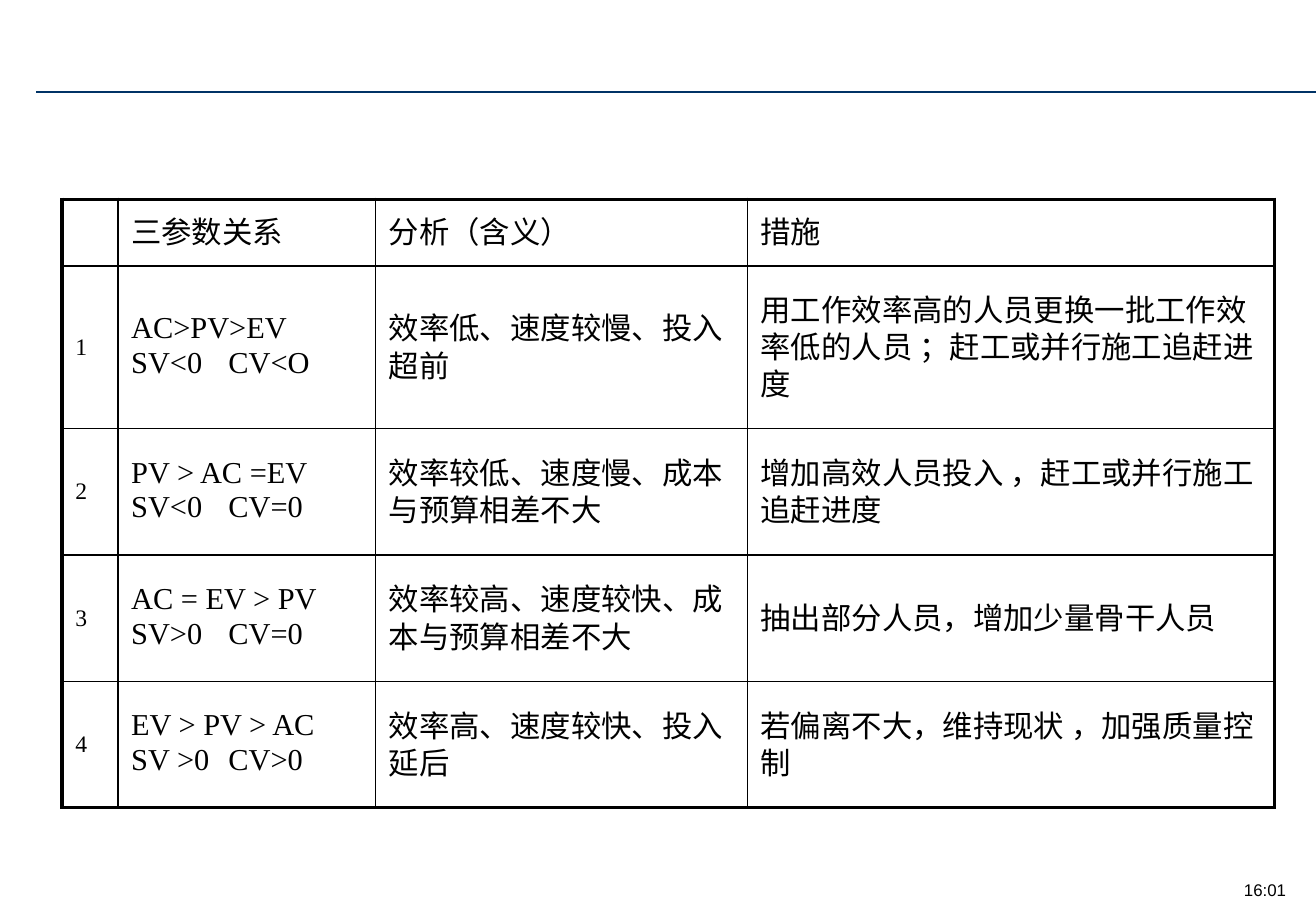
from dataclasses import dataclass

from lxml import etree
from pptx import Presentation
from pptx.dml.color import RGBColor
from pptx.enum.shapes import MSO_CONNECTOR
from pptx.enum.text import MSO_ANCHOR, PP_ALIGN
from pptx.oxml.ns import qn
from pptx.util import Inches, Pt

STRAIGHT = MSO_CONNECTOR.STRAIGHT
MIDDLE = MSO_ANCHOR.MIDDLE
CENTER = PP_ALIGN.CENTER


@dataclass(frozen=True)
class Theme:
    ink: str = "000000"
    paper: str = "FFFFFF"
    rule: str = "003366"
    table_font: str = "Times New Roman"
    clock_font: str = "Arial"
    text_size: float = 18
    number_size: float = 14
    clock_size: float = 10
    thin: float = 1
    thick: float = 2.25


class SlideBuilder:
    def __init__(self, prs, theme):
        self.theme = theme
        self.s = prs.slides.add_slide(prs.slide_layouts[6])

    def style(self, p, font, size):
        p.font.name = font
        p.font.size = Pt(size)
        p.font.color.rgb = RGBColor.from_string(self.theme.ink)

    def rule(self, left, right, y):
        line = self.s.shapes.add_connector(
            STRAIGHT, Inches(left), Inches(y), Inches(right), Inches(y))
        line.line.color.rgb = RGBColor.from_string(self.theme.rule)
        line.line.width = Pt(self.theme.thin)
        etree.SubElement(line._element.spPr, qn("a:effectLst"))

    def clock(self, text, left, top, width, height):
        sp = self.s.shapes.add_textbox(
            Inches(left), Inches(top), Inches(width), Inches(height))
        tf = sp.text_frame
        tf.word_wrap = True
        p = tf.paragraphs[0]
        p.text = text
        p.alignment = CENTER
        self.style(p, self.theme.clock_font, self.theme.clock_size)

    def border(self, cell, side, width):
        tc_pr = cell._tc.get_or_add_tcPr()
        ln = etree.SubElement(tc_pr, qn(f"a:ln{side}"), w=str(Pt(width)))
        fill = etree.SubElement(ln, qn("a:solidFill"))
        etree.SubElement(fill, qn("a:srgbClr"), val=self.theme.ink)

    def cell_text(self, cell, text, is_number):
        cell.vertical_anchor = MIDDLE
        cell.margin_left = cell.margin_right = Inches(0.11)
        cell.margin_top = cell.margin_bottom = Inches(0.05)
        cell.text = text
        for i, p in enumerate(cell.text_frame.paragraphs):
            if not is_number:
                p.line_spacing = 0.85
            if i:
                p.space_before = Pt(3.6)
            if "\t" in p.text:
                tabs = etree.SubElement(p._p.get_or_add_pPr(), qn("a:tabLst"))
                etree.SubElement(tabs, qn("a:tab"), pos=str(Inches(0.8)), algn="l")
            size = self.theme.number_size if is_number else self.theme.text_size
            self.style(p, self.theme.table_font, size)

    def table(self, data, left, top, widths, heights):
        table = self.s.shapes.add_table(
            len(heights), len(widths), Inches(left), Inches(top),
            Inches(sum(widths)), Inches(sum(heights))).table
        table.first_row = table.horz_banding = False
        for column, width in zip(table.columns, widths):
            column.width = Inches(width)
        for row, height in zip(table.rows, heights):
            row.height = Inches(height)
        for i, texts in enumerate(data):
            for j, text in enumerate(texts):
                cell = table.cell(i, j)
                outer = {"L": j == 0, "R": j == len(widths) - 1,
                         "T": i == 0, "B": i == len(heights) - 1}
                for side, is_outer in outer.items():
                    self.border(cell, side,
                                self.theme.thick if is_outer else self.theme.thin)
                cell.fill.solid()
                cell.fill.fore_color.rgb = RGBColor.from_string(self.theme.paper)
                self.cell_text(cell, text, j == 0)


MEASURES = [
    ("", "三参数关系", "分析（含义）", "措施"),
    ("1", "AC>PV>EV\nSV<0\tCV<O", "效率低、速度较慢、投入超前",
     "用工作效率高的人员更换一批工作效率低的人员 ；赶工或并行施工追赶进度"),
    ("2", "PV > AC =EV\nSV<0\tCV=0", "效率较低、速度慢、成本与预算相差不大",
     "增加高效人员投入 ，赶工或并行施工追赶进度"),
    ("3", "AC = EV > PV\nSV>0\tCV=0", "效率较高、速度较快、成本与预算相差不大",
     "抽出部分人员，增加少量骨干人员"),
    ("4", "EV > PV > AC\nSV >0\tCV>0", "效率高、速度较快、投入延后",
     "若偏离不大，维持现状 ，加强质量控制"),
]


def main():
    prs = Presentation()
    prs.slide_width = Inches(10.83)
    prs.slide_height = Inches(7.5)
    slide = SlideBuilder(prs, Theme())
    slide.rule(0.3, 10.83, 0.76)
    slide.clock("16:01", 10.1, 7.19, 0.62, 0.27)
    slide.table(MEASURES, 0.51, 1.64,
                [0.46, 2.12, 3.06, 4.34], [0.55, 1.34] + [1.04] * 3)
    prs.save("out.pptx")


if __name__ == "__main__":
    main()
